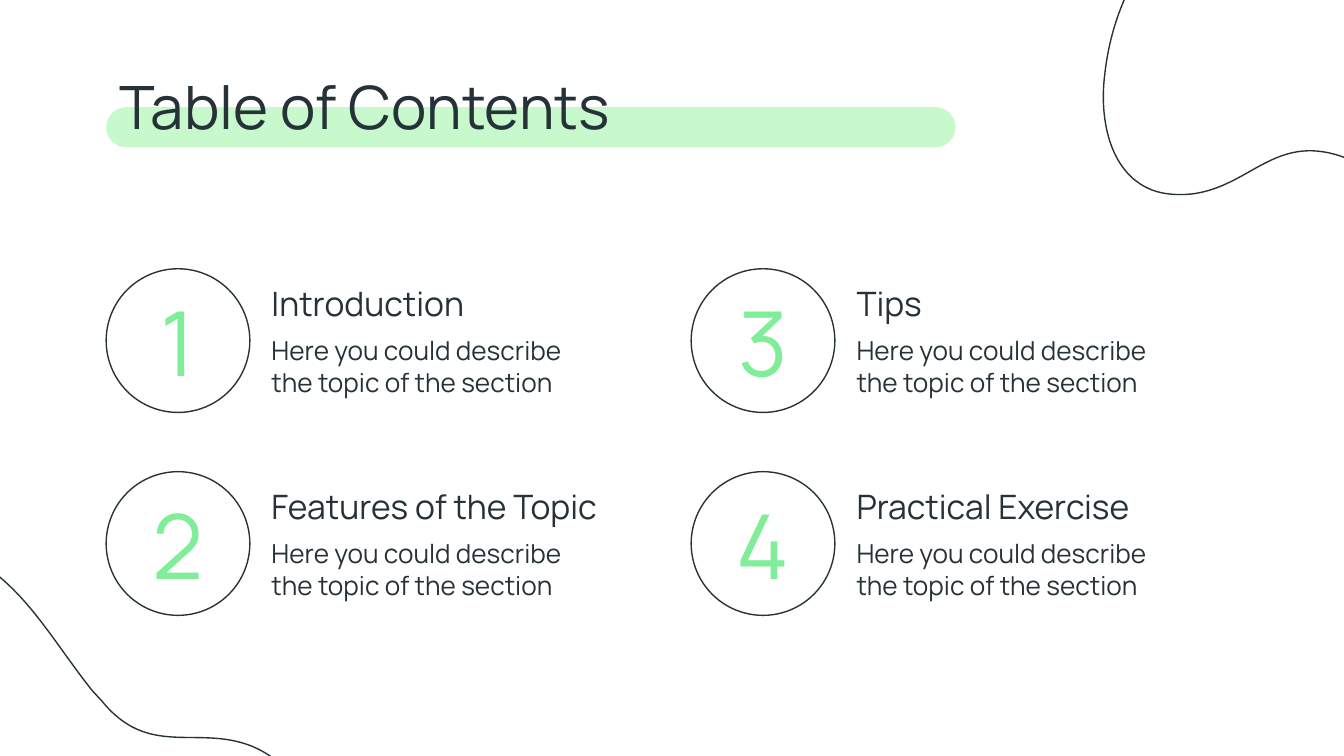
from lxml import etree
from pptx import Presentation
from pptx.dml.color import RGBColor
from pptx.enum import shapes, text
from pptx.oxml.ns import qn
from pptx.util import Pt

INK, GREEN, PALE_GREEN = "263238", "80ED99", "C7F9CC"
DESCRIPTION = ["Here you could describe", "the topic of the section"]
SECTIONS = ["Introduction", "Features of the Topic", "Tips", "Practical Exercise"]

# Start point, then three points for each Bézier curve
WAVE = [
    (254.7, 0.5),
    (248.6, 0.5), (241.6, 2.4), (234.5, 5.9),
    (206.2, 20.6), (204.4, 52.2), (166.4, 53.7),
    (162.5, 53.6), (158.9, 54.2), (155, 54.2),
    (137.3, 54), (120.3, 52.1), (104.1, 52.1),
    (84.1, 52.1), (65, 54.8), (44.1, 66.7),
    (7.6, 86.1), (0.3, 115.1), (7.7, 148.5),
    (19.4, 207.2), (69.9, 234.2), (127.8, 234.3),
    (152.4, 234.1), (178.1, 228.9), (203, 219.3),
    (282.3, 188.9), (318.9, 119.3), (300.5, 49.3),
    (295.4, 28.1), (280.3, 0.7), (254.7, 0.5),
]


def color(hex_code):
    return RGBColor.from_string(hex_code)


def write(frame, lines, size=14, ink=INK, align=text.PP_ALIGN.LEFT, font="Manrope"):
    """Fill a text frame with one paragraph per line."""
    for index, line in enumerate(lines):
        paragraph = frame.paragraphs[0] if index == 0 else frame.add_paragraph()
        paragraph.text = line
        paragraph.alignment = align
        paragraph.font.name = font
        paragraph.font.size = Pt(size)
        paragraph.font.color.rgb = color(ink)


class Canvas:
    """The current slide and its common style."""
    line_width = 0.75
    inset = 7.2

    def __init__(self, slide):
        self.slide = slide

    def outline(self, shape):
        shape.shadow.inherit = False
        shape.fill.background()
        shape.line.color.rgb = color(INK)
        shape.line.width = Pt(self.line_width)

    def pill(self, left, top, width, height):
        bar = self.slide.shapes.add_shape(
            shapes.MSO_SHAPE.ROUNDED_RECTANGLE, Pt(left), Pt(top), Pt(width), Pt(height))
        bar.adjustments[0] = 0.5
        bar.shadow.inherit = False
        bar.fill.solid()
        bar.fill.fore_color.rgb = color(PALE_GREEN)
        bar.line.fill.background()

    def circle(self, left, top, diameter):
        self.outline(self.slide.shapes.add_shape(
            shapes.MSO_SHAPE.OVAL, Pt(left), Pt(top), Pt(diameter), Pt(diameter)))

    def wave(self, left, top, turn):
        """Draw the curved outline, turned clockwise by degrees."""
        start, *rest = [(Pt(x), Pt(y)) for x, y in WAVE]
        builder = self.slide.shapes.build_freeform(*start)
        builder.add_line_segments(rest, close=True)
        shape = builder.convert_to_shape(Pt(left), Pt(top))
        segments = list(shape._element.iter(qn("a:lnTo")))
        for first in range(0, len(segments), 3):
            curve = etree.Element(qn("a:cubicBezTo"))
            segments[first].addprevious(curve)
            for segment in segments[first:first + 3]:
                curve.append(segment[0])
                segment.getparent().remove(segment)
        shape.rotation = turn
        self.outline(shape)

    def label(self, left, top, width, height, lines, anchor=text.MSO_ANCHOR.TOP, **style):
        frame = self.slide.shapes.add_textbox(
            Pt(left), Pt(top), Pt(width), Pt(height)).text_frame
        frame.word_wrap = True
        frame.auto_size = text.MSO_AUTO_SIZE.NONE
        frame.vertical_anchor = anchor
        frame.margin_left = frame.margin_right = Pt(self.inset)
        frame.margin_top = frame.margin_bottom = Pt(self.inset)
        write(frame, lines, **style)

    def section(self, number, heading, left, top):
        self.circle(left, top, 77)
        self.label(left + 3.6, top + 10.8, 69.8, 55.4, [str(number)],
                   anchor=text.MSO_ANCHOR.MIDDLE, size=48, ink=GREEN,
                   align=text.PP_ALIGN.CENTER)
        self.label(left + 81.5, top + 0.4, 211, 29.5, [heading], size=18)
        self.label(left + 81.5, top + 28.1, 211, 48.2, DESCRIPTION)


def main():
    deck = Presentation()
    deck.slide_width, deck.slide_height = Pt(720), Pt(405)
    canvas = Canvas(deck.slides.add_slide(deck.slide_layouts[6]))

    canvas.pill(56.9, 57.4, 455, 21.6)
    canvas.wave(588.2, -90.7, 201)
    canvas.wave(-157, 295.2, 50.9)
    canvas.label(56.9, 30.2, 607, 48.2, ["Table of Contents"], size=32)

    for index, heading in enumerate(SECTIONS):
        column, row = divmod(index, 2)
        canvas.section(index + 1, heading, 56.9 + 313.4 * column, 144 + 108.7 * row)

    deck.save("out.pptx")


if __name__ == "__main__":
    main()
